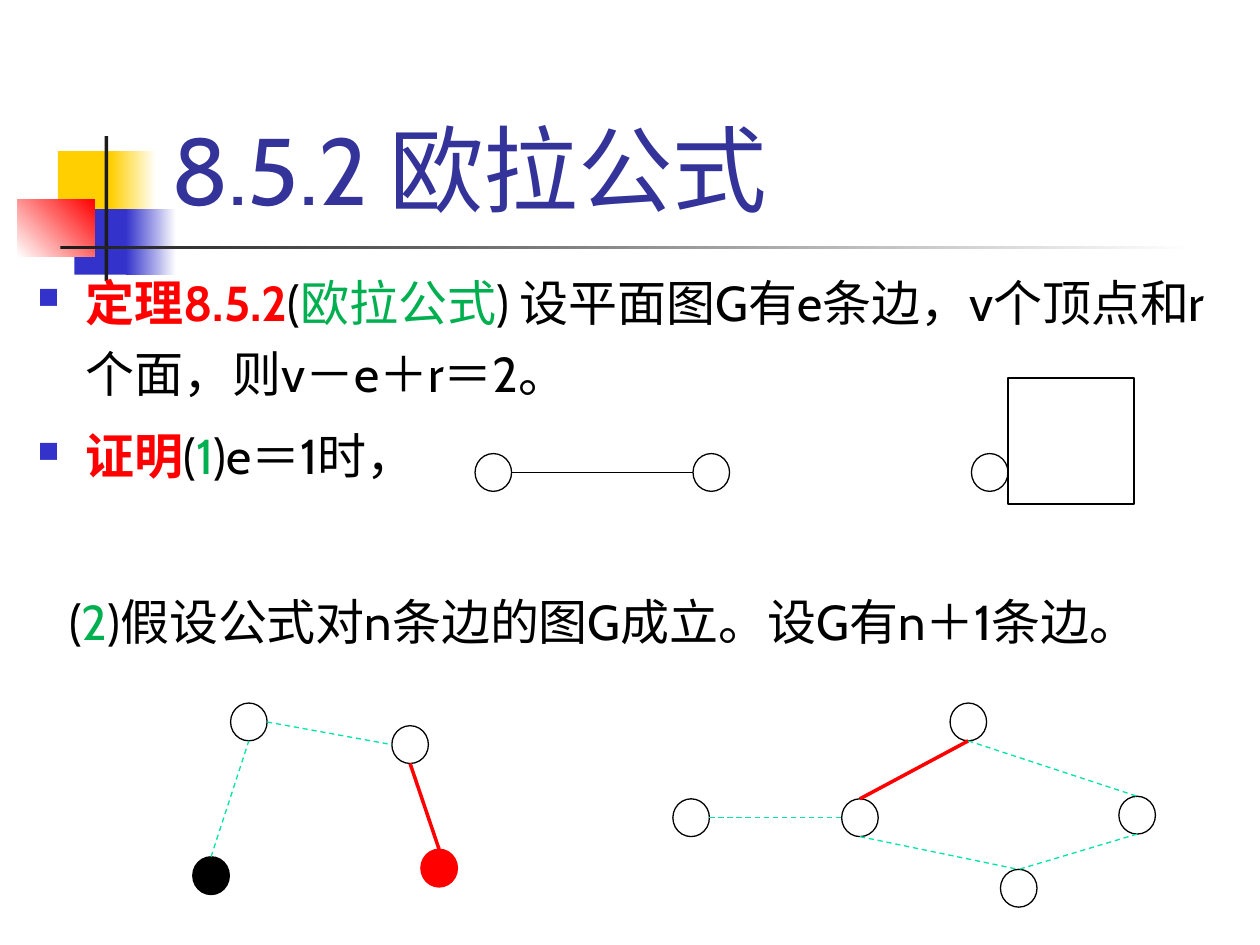
import pptx
import pptx.util
import pptx.dml.color
import pptx.enum.dml
import pptx.enum.shapes
import pptx.enum.text
from lxml import etree
from dataclasses import dataclass

Inches, Pt = pptx.util.Inches, pptx.util.Pt
SHAPE = pptx.enum.shapes.MSO_SHAPE


@dataclass(frozen=True)
class Theme:
    font: str = "Cabin"
    title_size: int = 54
    body_size: int = 28
    thin: float = 0.75
    thick: float = 2
    title: str = "333399"
    ink: str = "000000"
    paper: str = "FFFFFF"
    red: str = "FF0000"
    green: str = "00B050"
    mint: str = "00E4A7"
    yellow: str = "FFCF01"
    blue: str = "3333CC"
    rule: str = "1C1C1C"


THEME = Theme()

TITLE = "8.5.2 欧拉公式"
# Runs are (text, colour, bold)
PARAGRAPHS = [
    {"bullet": True, "indent": -0.38, "before": 0, "runs": [
        ("定理8.5.2", THEME.red, True), ("(", THEME.ink, False),
        ("欧拉公式", THEME.green, False),
        (") 设平面图G有e条边，v个顶点和r个面，则v－e＋r＝2。", THEME.ink, False)]},
    {"bullet": True, "indent": -0.38, "before": 7, "runs": [
        ("证明", THEME.red, True), ("(", THEME.ink, False),
        ("1", THEME.green, False), (")e＝1时，", THEME.ink, False)]},
    {"bullet": False, "indent": -0.13, "before": 54, "runs": [
        ("(", THEME.ink, False), ("2", THEME.green, False),
        (")假设公式对n条边的图G成立。设G有n＋1条边。", THEME.ink, False)]},
]

# Left, top, width, height, colours (two make a gradient), gradient angle
ORNAMENT = [
    (0.46, 1.2, 0.48, 0.52, [THEME.yellow], 0),
    (0.88, 1.2, 0.36, 0.52, [THEME.yellow, THEME.paper], 0),
    (0.59, 1.66, 0.46, 0.52, [THEME.blue], 0),
    (1, 1.66, 0.4, 0.52, [THEME.blue, THEME.paper], 0),
    (0.14, 1.58, 0.61, 0.46, [THEME.paper, THEME.red], 45),
    (0.83, 1.08, 0.03, 1.15, [THEME.rule], 0),
    (0.48, 1.95, 9, 0.03, [THEME.rule, THEME.paper], 0),
]

# Vertices: left, top, fill, outline
NODE_W, NODE_H = 0.29, 0.3
OPEN = (THEME.paper, THEME.ink)
VERTICES = {
    "segment start": (3.77, 3.6, *OPEN),
    "segment end": (5.5, 3.6, *OPEN),
    "loop": (7.71, 3.6, *OPEN),
    "tree foot": (1.53, 6.8, THEME.ink, THEME.ink),
    "tree top": (1.83, 5.58, *OPEN),
    "tree branch": (3.11, 5.76, *OPEN),
    "tree leaf": (3.34, 6.74, THEME.red, THEME.red),
    "cycle tail": (5.34, 6.34, *OPEN),
    "cycle left": (6.68, 6.34, *OPEN),
    "cycle bottom": (7.94, 6.9, *OPEN),
    "cycle right": (8.88, 6.32, *OPEN),
    "cycle top": (7.54, 5.58, *OPEN),
}
SIDES = {"top": (0.5, 0), "left": (0, 0.5), "bottom": (0.5, 1), "right": (1, 0.5)}

PLAIN = (THEME.ink, THEME.thin, False)
KEPT = (THEME.mint, THEME.thin, True)
REMOVED = (THEME.red, THEME.thick, False)
EDGES = [
    ("segment start", "right", "segment end", "left", PLAIN),
    ("tree foot", "top", "tree top", "bottom", KEPT),
    ("tree top", "right", "tree branch", "left", KEPT),
    ("tree branch", "bottom", "tree leaf", "top", REMOVED),
    ("cycle tail", "right", "cycle left", "left", KEPT),
    ("cycle left", "top", "cycle top", "bottom", REMOVED),
    ("cycle top", "bottom", "cycle right", "top", KEPT),
    ("cycle left", "bottom", "cycle bottom", "top", KEPT),
    ("cycle right", "bottom", "cycle bottom", "top", KEPT),
]

# Start point, then cubic pieces: two controls and an end point each
LOOP = [
    (7.87, 3.6),
    (7.89, 3.52), (7.91, 3.45), (7.96, 3.37), (7.97, 3.35), (8, 3.27), (8.03, 3.25),
    (8.07, 3.21), (8.13, 3.18), (8.18, 3.15), (8.27, 3.09), (8.46, 3.09), (8.57, 3.08),
    (8.78, 3.09), (8.86, 3.05), (9.01, 3.15), (9.02, 3.2), (9.07, 3.25), (9.09, 3.3),
    (9.1, 3.34), (9.11, 3.38), (9.13, 3.41), (9.14, 3.43), (9.15, 3.44), (9.16, 3.46),
    (9.2, 3.53), (9.21, 3.61), (9.23, 3.69), (9.22, 3.93), (9.24, 3.91), (9.16, 4.07),
    (9.15, 4.09), (9.16, 4.11), (9.14, 4.13), (9.11, 4.17), (8.97, 4.22), (8.92, 4.23),
    (8.81, 4.22), (8.69, 4.23), (8.59, 4.21), (8.52, 4.21), (8.47, 4.18), (8.41, 4.16),
    (8.31, 4.1), (8.4, 4.15), (8.25, 4.11), (8.25, 4.11), (8.12, 4.06), (8.1, 4.06),
    (8.06, 4.04), (8.03, 4.03), (7.99, 4.02), (7.97, 4.01), (7.94, 4), (7.94, 4),
    (7.9, 3.89), (7.94, 3.9), (7.89, 3.9),
]
CURVE_STEPS = 6


def rgb(colour):
    return pptx.dml.color.RGBColor.from_string(colour)


def set_line(line, colour, width, dashed=False):
    line.color.rgb = rgb(colour)
    line.width = Pt(width)
    if dashed:
        line.dash_style = pptx.enum.dml.MSO_LINE.DASH


def add_filled(slide, kind, box, colours, angle=0):
    """Add a shape with a solid fill, or a gradient if two colours are given."""
    shape = slide.shapes.add_shape(kind, *map(Inches, box))
    shape.shadow.inherit = False
    if len(colours) == 1:
        shape.fill.solid()
        shape.fill.fore_color.rgb = rgb(colours[0])
    else:
        shape.fill.gradient()
        shape.fill.gradient_angle = angle
        for stop, colour in zip(shape.fill.gradient_stops, colours):
            stop.color.rgb = rgb(colour)
    shape.line.fill.background()
    return shape


def add_frame(slide, box, anchor):
    frame = slide.shapes.add_textbox(*map(Inches, box)).text_frame
    frame.word_wrap = True
    frame.vertical_anchor = anchor
    return frame


def add_run(paragraph, text, size, colour, bold=False):
    run = paragraph.add_run()
    run.text = text
    run.font.color.rgb = rgb(colour)
    for name, value in {"name": THEME.font, "size": Pt(size), "bold": bold}.items():
        setattr(run.font, name, value)


def add_bullet(properties):
    def child(parent, tag, **attributes):
        return etree.SubElement(parent, pptx.oxml.ns.qn(tag), **attributes)

    child(child(properties, "a:buClr"), "a:srgbClr", val=THEME.blue)
    child(properties, "a:buSzPct", val="60000")
    child(properties, "a:buChar", char="■")


def add_body(slide):
    frame = add_frame(slide, (0.2, 2.02, 9.8, 5.48), pptx.enum.text.MSO_ANCHOR.TOP)
    for index, content in enumerate(PARAGRAPHS):
        paragraph = frame.add_paragraph() if index else frame.paragraphs[0]
        paragraph.line_spacing = 1.2
        if content["before"]:
            paragraph.space_before = Pt(content["before"])
        properties = paragraph._p.get_or_add_pPr()
        properties.set("marL", str(Inches(0.38)))
        properties.set("indent", str(Inches(content["indent"])))
        if content["bullet"]:
            add_bullet(properties)
        for text, colour, bold in content["runs"]:
            add_run(paragraph, text, THEME.body_size, colour, bold)


def anchor_point(vertex, side):
    left, top = VERTICES[vertex][:2]
    across, down = SIDES[side]
    return Inches(left + across * NODE_W), Inches(top + down * NODE_H)


def add_edge(slide, start, start_side, end, end_side, style):
    edge = slide.shapes.add_connector(
        pptx.enum.shapes.MSO_CONNECTOR.STRAIGHT,
        *anchor_point(start, start_side), *anchor_point(end, end_side))
    set_line(edge.line, *style)
    etree.SubElement(edge._element.spPr, pptx.oxml.ns.qn("a:effectLst"))


def curve_points(points):
    """Sample a chain of cubic Bezier pieces."""
    for i in range(0, len(points) - 1, 3):
        for step in range(1, CURVE_STEPS + 1):
            t = step / CURVE_STEPS
            weights = ((1 - t) ** 3, 3 * t * (1 - t) ** 2, 3 * t * t * (1 - t), t ** 3)
            yield tuple(sum(w * p[axis] for w, p in zip(weights, points[i:i + 4]))
                        for axis in (0, 1))


def add_loop(slide):
    builder = slide.shapes.build_freeform(*LOOP[0], scale=Inches(1))
    builder.add_line_segments(list(curve_points(LOOP)), close=False)
    loop = builder.convert_to_shape()
    loop.shadow.inherit = False
    loop.fill.background()
    set_line(loop.line, THEME.ink, THEME.thin)


def main():
    deck = pptx.Presentation()
    deck.slide_width, deck.slide_height = Inches(10), Inches(7.5)
    slide = deck.slides.add_slide(deck.slide_layouts[6])
    for *box, colours, angle in ORNAMENT:
        add_filled(slide, SHAPE.RECTANGLE, box, colours, angle)
    heading = add_frame(slide, (1.26, 0.23, 8.52, 1.6), pptx.enum.text.MSO_ANCHOR.BOTTOM)
    add_run(heading.paragraphs[0], TITLE, THEME.title_size, THEME.title)
    add_body(slide)
    for left, top, fill, outline in VERTICES.values():
        vertex = add_filled(slide, SHAPE.OVAL, (left, top, NODE_W, NODE_H), [fill])
        set_line(vertex.line, outline, THEME.thin)
    add_loop(slide)
    for edge in EDGES:
        add_edge(slide, *edge)
    deck.save("out.pptx")


if __name__ == "__main__":
    main()
